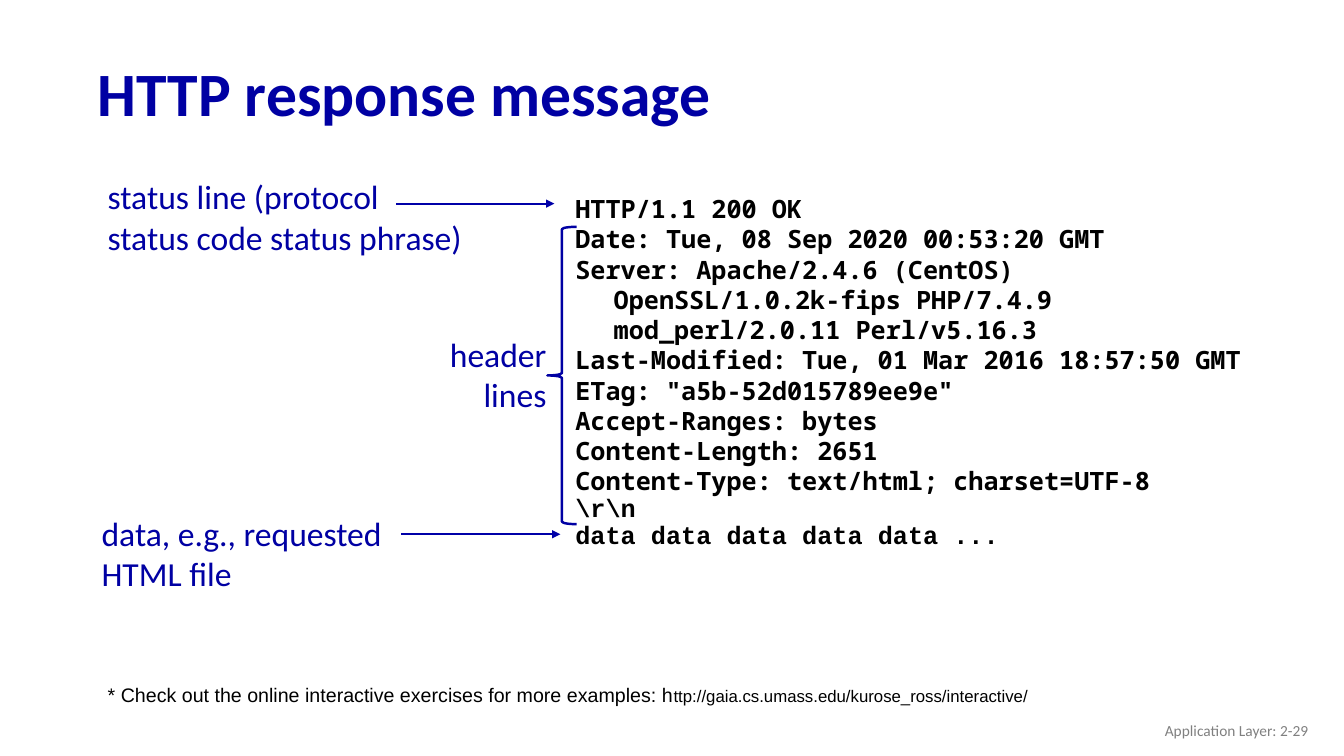
from lxml.etree import SubElement
from pptx import Presentation
from pptx.dml.color import RGBColor
from pptx.enum.shapes import MSO_CONNECTOR, MSO_SHAPE
from pptx.enum.text import MSO_ANCHOR, PP_ALIGN
from pptx.oxml.ns import qn
from pptx.util import Inches, Pt

THEME = {
    "blue": RGBColor(0x00, 0x00, 0xA3),
    "arrow": RGBColor(0x00, 0x00, 0xA8),
    "black": RGBColor(0x00, 0x00, 0x00),
    "gray": RGBColor(0x80, 0x80, 0x80),
    "title": 44, "label": 24, "code": 18, "note": 14, "link": 12, "footer": 11,
    "sans": "Calibri", "mono": "Noto Sans Mono", "courier": "Courier New", "note_font": "Arial",
}

# The slide is a grid of 40 columns by 22.5 rows of square cells
presentation = Presentation()
presentation.slide_width = Inches(13.3333)
presentation.slide_height = Inches(7.5)
CELL = presentation.slide_height / 22.5
slide = presentation.slides.add_slide(presentation.slide_layouts[6])


def cells(*counts):
    return [round(count * CELL) for count in counts]


def add_text(lines, place, size="label", color="blue", font="sans", bold=False,
             align=PP_ALIGN.LEFT, anchor=MSO_ANCHOR.TOP, wrap=True):
    """Each line is one paragraph."""
    box = slide.shapes.add_textbox(*cells(*place))
    frame = box.text_frame
    frame.word_wrap = wrap
    frame.vertical_anchor = anchor
    for index, line in enumerate(lines):
        paragraph = frame.paragraphs[0] if index == 0 else frame.add_paragraph()
        paragraph.alignment = align
        run = paragraph.add_run()
        run.text = line
        run.font.size = Pt(THEME[size])
        run.font.name = THEME[font]
        run.font.bold = bold
        run.font.color.rgb = THEME[color]
    return frame


# Title
title = add_text(["HTTP response message"], (2.61, 1.41, 34.5, 2.94), size="title",
                 bold=True, anchor=MSO_ANCHOR.MIDDLE)
title.paragraphs[0].line_spacing = 0.9

# Labels on the left
add_text(["status line (protocol", "status code status phrase)"], (2.91, 5.1, 13.32, 2.73))
add_text(["header", "lines"], (13.05, 9.78, 3.51, 2.73), align=PP_ALIGN.RIGHT, wrap=False)
add_text(["data, e.g., requested", "HTML file"], (2.73, 15.12, 11.82, 2.73))

# Response message with hanging indents
message = add_text([
    "HTTP/1.1 200 OK",
    "Date: Tue, 08 Sep 2020 00:53:20 GMT",
    "Server: Apache/2.4.6 (CentOS) OpenSSL/1.0.2k-fips PHP/7.4.9 mod_perl/2.0.11 Perl/v5.16.3",
    "Last-Modified: Tue, 01 Mar 2016 18:57:50 GMT",
    'ETag: "a5b-52d015789ee9e"',
    "Accept-Ranges: bytes",
    "Content-Length: 2651",
    "Content-Type: text/html; charset=UTF-8",
    "\\r\\n",
    "data data data data data ...",
], (16.83, 5.61, 20.7, 11.46), size="code", color="black", font="mono", bold=True)
for paragraph in message.paragraphs:
    properties = paragraph._p.get_or_add_pPr()
    properties.set("marL", str(Inches(0.38)))
    properties.set("indent", str(-Inches(0.38)))
for paragraph in message.paragraphs[-2:]:
    paragraph.line_spacing = 0.9
    paragraph.runs[0].font.name = THEME["courier"]

# Arrows from the labels to the message
for left, right, row in ((11.79, 16.5, 6.06), (11.94, 16.68, 15.9)):
    arrow = slide.shapes.add_connector(MSO_CONNECTOR.STRAIGHT, *cells(left, row, right, row))
    arrow.line.color.rgb = THEME["arrow"]
    arrow.line.width = Pt(1.5)
    SubElement(arrow.line._get_or_add_ln(), qn("a:tailEnd"), type="triangle")
    SubElement(arrow._element.spPr, qn("a:effectLst"))

# Brace around the header lines
brace = slide.shapes.add_shape(MSO_SHAPE.LEFT_BRACE, *cells(16.29, 6.75, 0.87, 8.85))
brace.shadow.inherit = False
brace.fill.background()
brace.line.color.rgb = THEME["blue"]
brace.line.width = Pt(1.75)

# Note and footer
note = add_text(["* Check out the online interactive exercises for more examples: h"],
                (2.91, 20.19, 31.23, 1.02), size="note", color="black", font="note_font")
link = note.paragraphs[0].add_run()
link.text = "ttp://gaia.cs.umass.edu/kurose_ross/interactive/"
link.font.size = Pt(THEME["link"])
link.font.name = THEME["note_font"]
link.font.color.rgb = THEME["black"]
add_text(["Application Layer: 2-29"], (30.24, 21.15, 9, 1.2), size="footer", color="gray",
         align=PP_ALIGN.RIGHT, anchor=MSO_ANCHOR.MIDDLE)

presentation.save("out.pptx")
